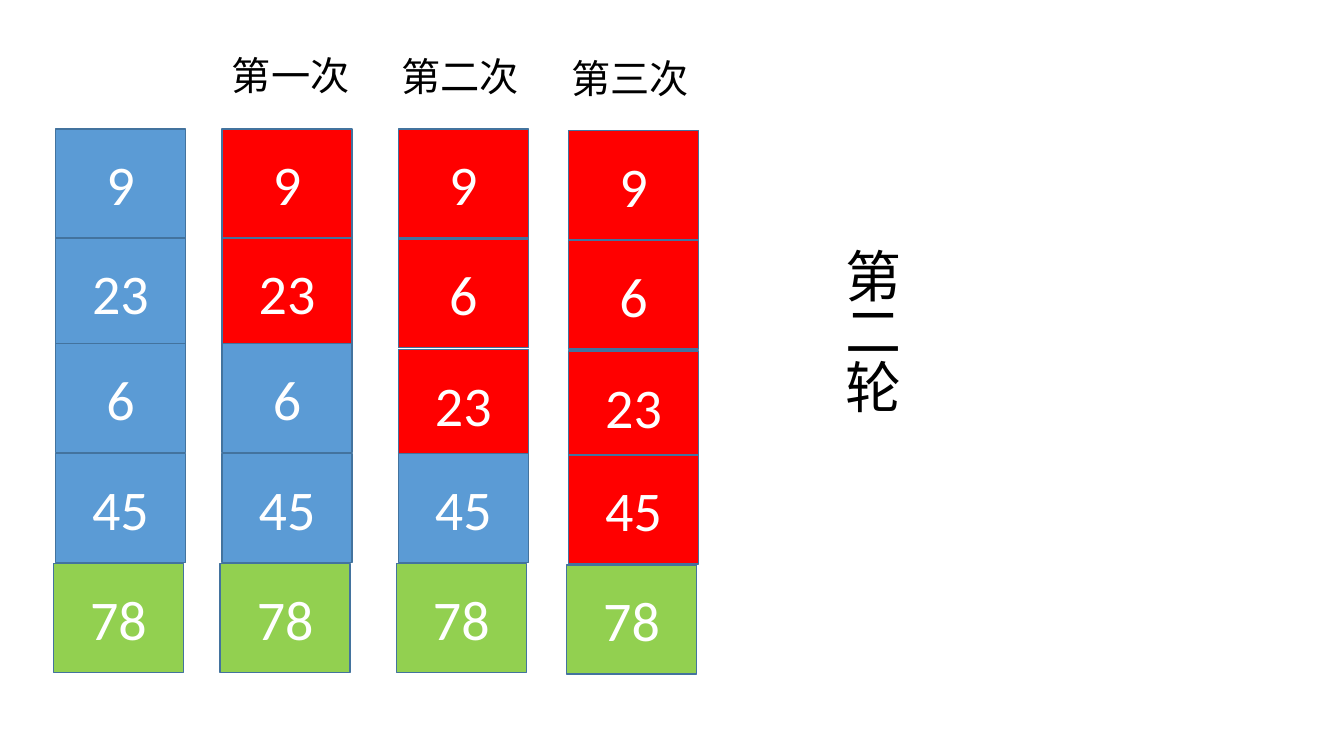
from pptx import Presentation
from pptx.dml.color import RGBColor
from pptx.enum.shapes import MSO_SHAPE as SHAPE
from pptx.enum.text import MSO_ANCHOR as ANCHOR, MSO_AUTO_SIZE as AUTO, PP_ALIGN as ALIGN
from pptx.util import Pt

BLUE, RED, GREEN = "5B9BD5", "FF0000", "92D050"
EDGE, WHITE, BLACK = "43739E", "FFFFFF", "000000"
CELL_W, CELL_H = 92.9, 77.8


def rgb(value):
    return RGBColor.from_string(value)


def write(sp, text, size, color):
    tf = sp.text_frame
    tf.word_wrap = True
    tf.text = text
    font = tf.paragraphs[0].runs[0].font
    font.name, font.size = "Calibri", Pt(size)
    font.color.rgb = rgb(color)
    return tf


prs = Presentation()
prs.slide_width, prs.slide_height = Pt(960), Pt(540)
s = prs.slides.add_slide(prs.slide_layouts[6])

# Cell tops before and after the swap of 6 and 23
START_TOPS = [92.2, 169.9, 245.5, 324, 402.5]
SWAP_TOPS = [92.2, 170.6, 249.8, 324, 402.5]

# Columns: left, downward shift, number of red cells, values, cell tops
columns = [
    (39.6, 0, 0, [9, 23, 6, 45, 78], START_TOPS),
    (158.6, 0, 2, [9, 23, 6, 45, 78], START_TOPS),
    (284.5, 0, 3, [9, 6, 23, 45, 78], SWAP_TOPS),
    (406.1, 1, 4, [9, 6, 23, 45, 78], SWAP_TOPS),
]
for left, shift, red_count, values, tops in columns:
    for row, (value, top) in enumerate(zip(values, tops)):
        is_sorted = row == len(values) - 1
        x = left - 1.4 if is_sorted else left
        sp = s.shapes.add_shape(SHAPE.RECTANGLE, Pt(x), Pt(top + shift), Pt(CELL_W), Pt(CELL_H))
        sp.shadow.inherit = False
        sp.fill.solid()
        sp.fill.fore_color.rgb = rgb(GREEN if is_sorted else RED if row < red_count else BLUE)
        sp.line.color.rgb = rgb(EDGE)
        sp.line.width = Pt(1)
        tf = write(sp, str(value), 40, WHITE)
        tf.vertical_anchor = ANCHOR.MIDDLE
        tf.paragraphs[0].alignment = ALIGN.CENTER

# Step headings
for text, left, top in [("第一次", 158.6, 33.1), ("第二次", 279.4, 33.8), ("第三次", 401, 35.3)]:
    sp = s.shapes.add_textbox(Pt(left), Pt(top), Pt(102.2), Pt(41))
    write(sp, text, 28, BLACK).auto_size = AUTO.SHAPE_TO_FIT_TEXT

# Vertical round label
sp = s.shapes.add_textbox(Pt(586.8), Pt(169.9), Pt(63.4), Pt(339.1))
write(sp, "第二轮", 40, BLACK).auto_size = AUTO.SHAPE_TO_FIT_TEXT
sp.element.txBody.bodyPr.set("vert", "eaVert")

prs.save("out.pptx")
